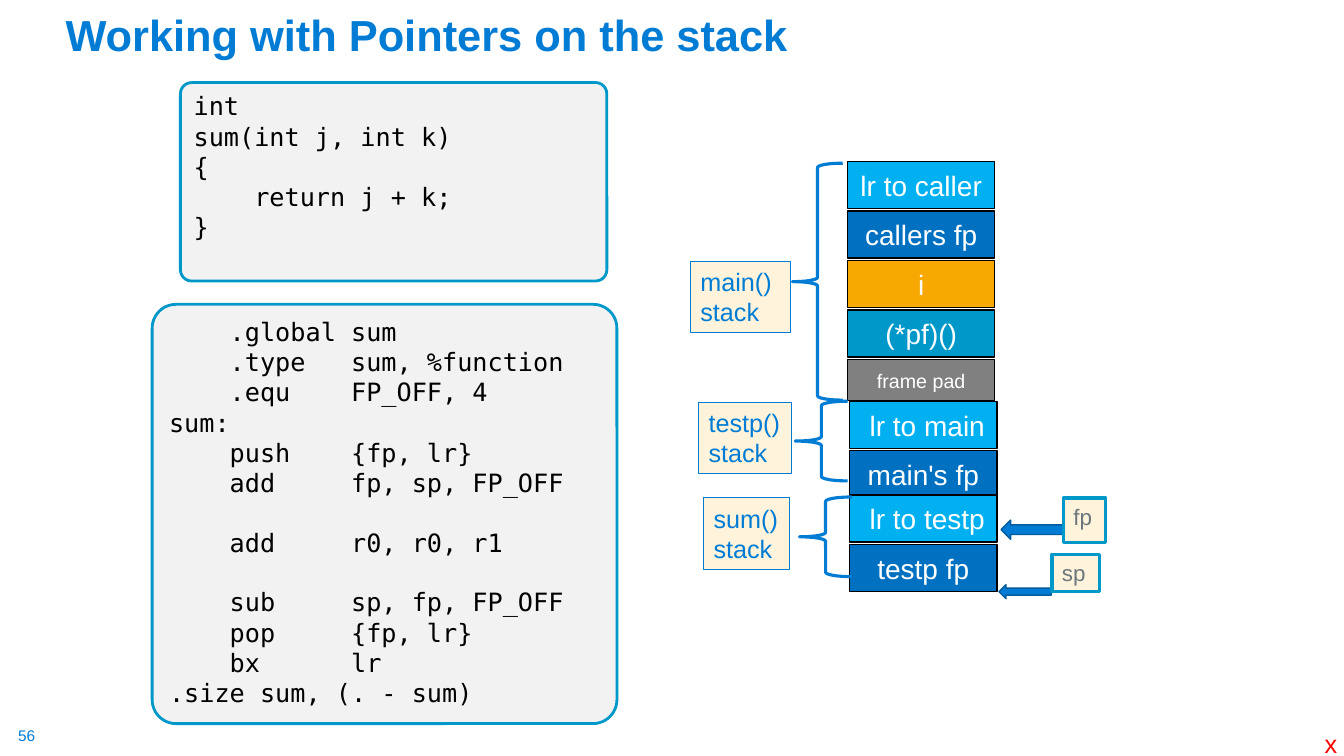
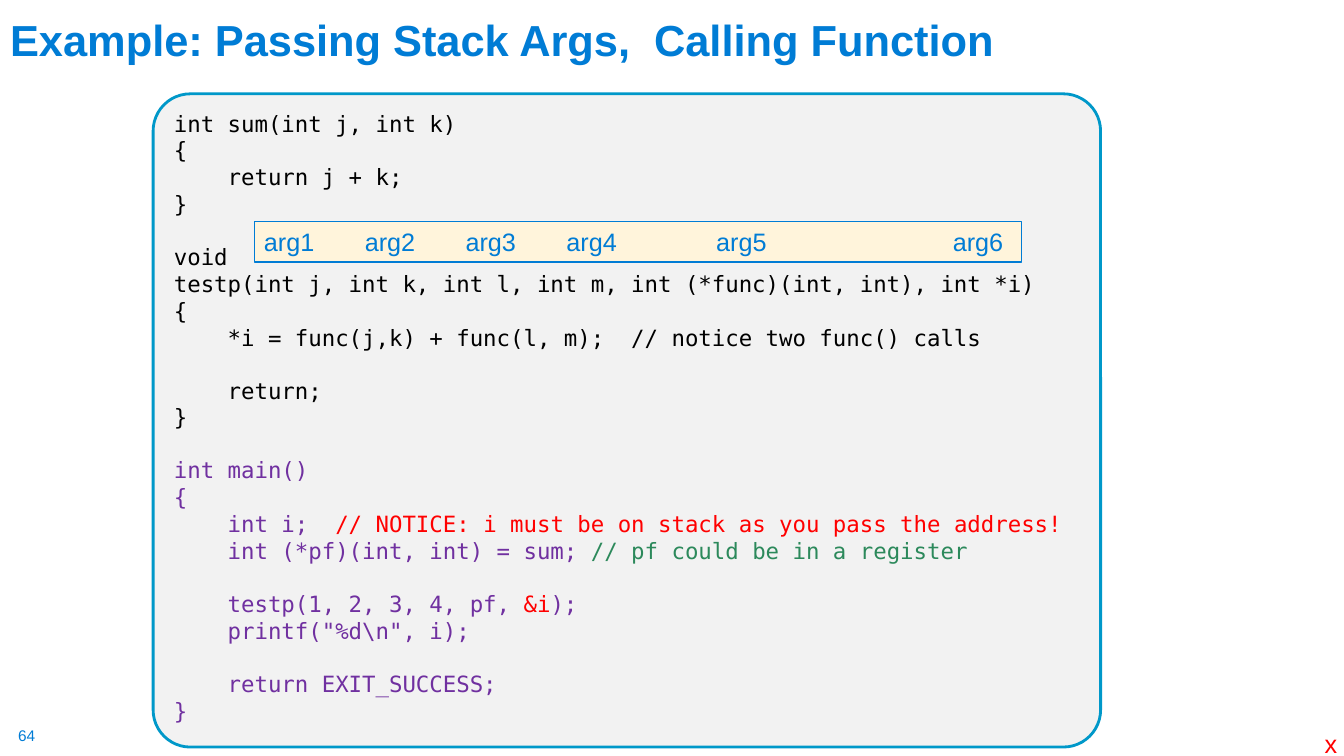
import pptx
import pptx.dml.color
import pptx.enum.shapes
import pptx.enum.text
import pptx.util
from lxml import etree

Pt = pptx.util.Pt
Preset = pptx.enum.shapes.MSO_SHAPE
Align = pptx.enum.text.PP_ALIGN
Anchor = pptx.enum.text.MSO_ANCHOR
color = pptx.dml.color.RGBColor.from_string

BLUE, TEAL, CREAM, CODE_FILL = "007CD5", "0098C9", "FFF4DB", "F2F2F2"
SKY, NAVY, AMBER, GRAY = "00B0F0", "0070C0", "F7A901", "808080"
BLACK, WHITE, RED, PURPLE, GREEN = "000000", "FFFFFF", "FF0000", "7030A0", "2C895B"
SANS, MONO = "Arial", "DejaVu Sans Mono"
MONO_LINE = 1.164  # line height of the code font, in ems


def add_box(slide, preset, box, fill, line, weight):
    shape = slide.shapes.add_shape(preset, *[Pt(length) for length in box])
    shape.shadow.inherit = False
    if fill:
        shape.fill.solid()
        shape.fill.fore_color.rgb = color(fill)
    else:
        shape.fill.background()
    shape.line.color.rgb = color(line)
    shape.line.width = Pt(weight)
    return shape


def write(shape, lines, size, ink, font=SANS, align=Align.LEFT, anchor=Anchor.TOP, wrap=True):
    """Write one paragraph per line; a line is a string or a list of (text, colour)."""
    frame = shape.text_frame
    frame.word_wrap = wrap
    frame.auto_size = pptx.enum.text.MSO_AUTO_SIZE.NONE
    frame.vertical_anchor = anchor
    paragraph, gap = frame.paragraphs[0], 0
    for number, line in enumerate(lines):
        if not line:  # an empty code line becomes space before the next one
            gap += size * MONO_LINE
            continue
        if number:
            paragraph = frame.add_paragraph()
        paragraph.alignment = align
        if gap:
            paragraph.space_before = Pt(round(gap, 2))
            gap = 0
        paragraph.font.size = Pt(size)
        paragraph.font.name = font
        if isinstance(line, str):
            paragraph.font.color.rgb = color(ink)
            paragraph.add_run().text = line
        else:
            for text, run_ink in line:
                run = paragraph.add_run()
                run.text = text
                run.font.color.rgb = color(run_ink)
    return frame


SUM_C = """int
sum(int j, int k)
{
    return j + k;
}""".split("\n")

SUM_ASSEMBLY = """    .global sum
    .type   sum, %function
    .equ    FP_OFF, 4
sum:
    push    {fp, lr}
    add     fp, sp, FP_OFF

    add     r0, r0, r1

    sub     sp, fp, FP_OFF
    pop     {fp, lr}
    bx      lr
.size sum, (. - sum)""".split("\n")

CALLEES = """int sum(int j, int k)
{
    return j + k;
}

void
testp(int j, int k, int l, int m, int (*func)(int, int), int *i)
{
    *i = func(j,k) + func(l, m);  // notice two func() calls

    return;
}
""".split("\n")

MAIN = [
    [("int main()", PURPLE)],
    [("{", PURPLE)],
    [("    int i;  ", PURPLE), ("// NOTICE: i must be on stack as you pass the address!", RED)],
    [("    int (*pf)(int, int) = sum; ", PURPLE), ("// pf could be in a register", GREEN)],
    "",
    [("    testp(1, 2, 3, 4, pf, ", PURPLE), ("&i", RED), (");", PURPLE)],
    [('    printf("%d\\n", i);', PURPLE)],
    "",
    [("    return EXIT_SUCCESS;", PURPLE)],
    [("}", PURPLE)],
]

# Title and box, page number, code panels as (box, size, lines)
PAGES = [
    ("Working with Pointers on the stack", (39.6, 9.4, 828, 37.4), "56",
     [((128.9, 59, 304.6, 141.8), 18, SUM_C),
      ((108.7, 217.4, 332, 299.5), 18, SUM_ASSEMBLY)]),
    ("Example: Passing Stack Args,  Calling Function", (0, 1.4, 828, 49), "64",
     [((109.4, 67, 676.8, 466.6), 16, CALLEES + MAIN)]),
]

presentation = pptx.Presentation()
presentation.slide_width, presentation.slide_height = Pt(960), Pt(540)

# Shared parts: title, page number, corner mark, code panels
for heading, title_box, page_number, panels in PAGES:
    slide = presentation.slides.add_slide(presentation.slide_layouts[5])
    title = slide.shapes.title
    title.left, title.top, title.width, title.height = [Pt(length) for length in title_box]
    paragraph = write(title, [heading], 31, BLUE, anchor=Anchor.BOTTOM).paragraphs[0]
    paragraph.font.bold = True
    paragraph.line_spacing = 0.9

    number_box = slide.shapes.add_textbox(Pt(13), Pt(519), Pt(14), Pt(14))
    frame = write(number_box, [page_number], 11, BLUE, wrap=False)
    frame.margin_left = frame.margin_top = frame.margin_right = frame.margin_bottom = 0
    corner_box = slide.shapes.add_textbox(Pt(939), Pt(517), Pt(24), Pt(29))
    write(corner_box, ["x"], 18, RED, wrap=False)

    for box, size, lines in panels:
        panel = add_box(slide, Preset.ROUNDED_RECTANGLE, box, CODE_FILL, TEAL, 2)
        panel.adjustments[0] = 0.057
        write(panel, lines, size, BLACK, MONO)

# Slide 1: stack frames as (name, left, top, label box, brace box, rows)
stack_slide, args_slide = presentation.slides
ROW_WIDTH, ROW_HEIGHT, ROW_STEP = 105.1, 33.8, 35.4
FRAMES = [
    ("main()", 605.5, 115.2, (493.2, 186.5, 71.3, 51), (566, 116.6, 36, 169.2),
     [("lr to caller", SKY), ("callers fp", NAVY), ("i", AMBER), ("(*pf)()", TEAL),
      ("frame pad", GRAY)]),
    ("testp()", 607, 286.6, (499, 287.3, 66.2, 51), (568, 286.6, 37.4, 56.9),
     [("lr to main", SKY), ("main's fp", NAVY)]),
    ("sum()", 607, 353.5, (502.6, 355.7, 61.2, 51), (571, 355, 37.4, 56.9),
     [("lr to testp", SKY), ("testp fp", NAVY)]),
]
for name, left, top, label_box, brace_box, rows in FRAMES:
    for index, (text, fill) in enumerate(rows):
        is_pad = text == "frame pad"
        box = (left, top + index * ROW_STEP, ROW_WIDTH, 29.5 if is_pad else ROW_HEIGHT)
        row = add_box(stack_slide, Preset.RECTANGLE, box, fill, BLACK, 1)
        frame = write(row, [text], 14 if is_pad else 20, WHITE,
                      align=Align.CENTER, anchor=Anchor.MIDDLE)
        if text in ("lr to main", "lr to testp"):  # set slightly right of centre
            frame.margin_left, frame.margin_right = Pt(10), Pt(4.4)
    label = add_box(stack_slide, Preset.RECTANGLE, label_box, CREAM, BLUE, 0.75)
    write(label, [name, "stack"], 18, BLUE, wrap=False)
    add_box(stack_slide, Preset.LEFT_BRACE, brace_box, None, BLUE, 2.25)

# Slide 1: register pointers
for name, arrow_box, register_box in [
    ("fp", (715, 371.5, 44.6, 13.7), (759.6, 355.7, 30.2, 31.7)),
    ("sp", (713.5, 417.6, 37.4, 10), (751.5, 396, 33.8, 26.6)),
]:
    add_box(stack_slide, Preset.LEFT_ARROW, arrow_box, BLUE, "005C9E", 1)
    register = add_box(stack_slide, Preset.RECTANGLE, register_box, CREAM, TEAL, 2.5)
    write(register, [name], 16, "6B767D", wrap=False)

# Slide 2: argument labels, each at its own tab stop
strip = add_box(args_slide, Preset.RECTANGLE, (181.5, 158.4, 548, 28.8), CREAM, BLUE, 0.75)
properties = strip.text_frame.paragraphs[0]._p.get_or_add_pPr()
namespace = "{http://schemas.openxmlformats.org/drawingml/2006/main}"
tab_list = etree.SubElement(properties, namespace + "tabLst")
for stop in (72, 144, 216, 323, 492):
    etree.SubElement(tab_list, namespace + "tab", pos=str(int(Pt(stop))), algn="l")
write(strip, ["\t".join(f"arg{number}" for number in range(1, 7))], 18, BLUE)

presentation.save("out.pptx")
